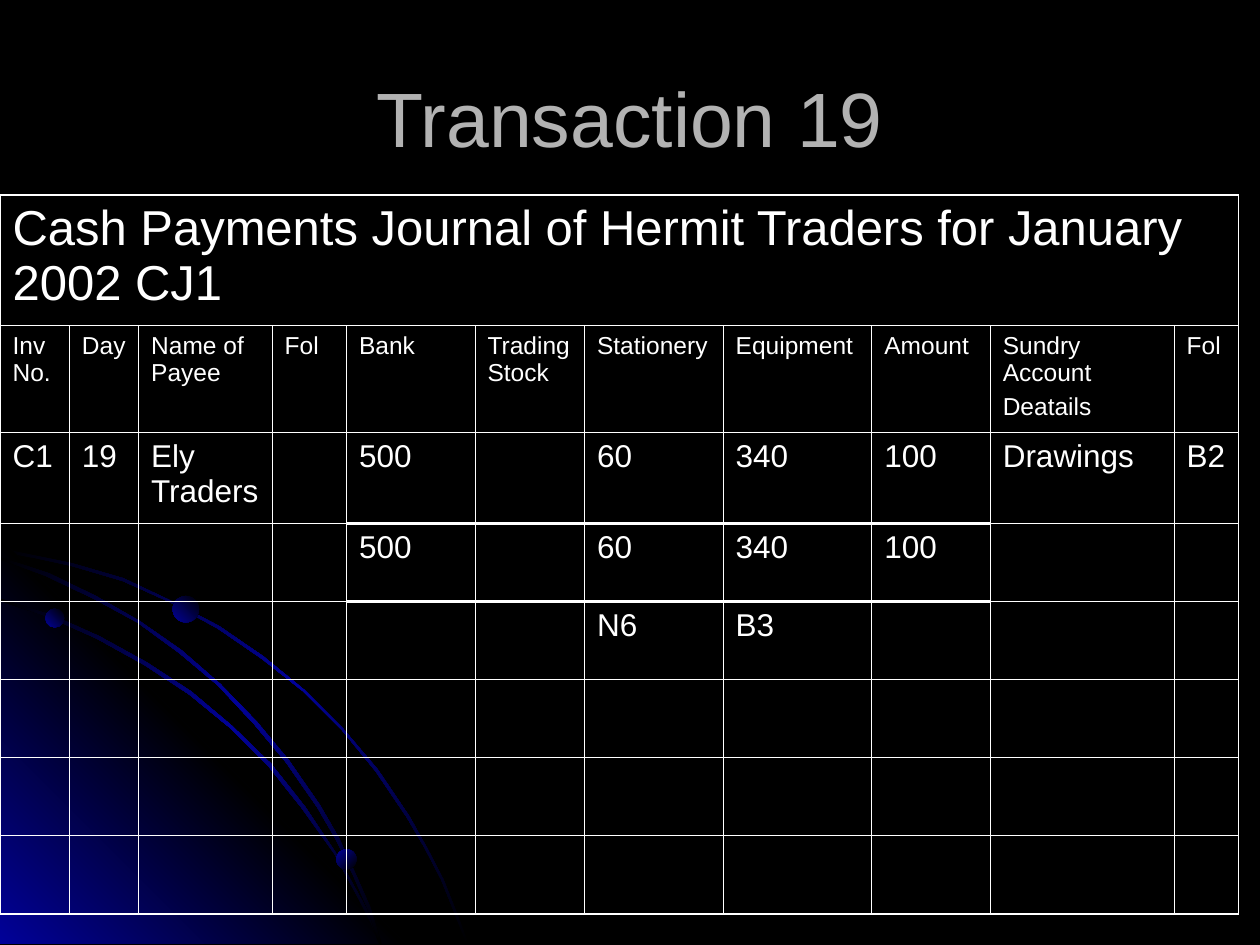
from lxml import etree
from pptx import Presentation
from pptx.dml.color import RGBColor
from pptx.enum.shapes import MSO_SHAPE
from pptx.enum.text import MSO_ANCHOR, PP_ALIGN
from pptx.oxml import parse_xml
from pptx.oxml.ns import qn
from pptx.util import Inches, Pt

SPACE = 'xmlns:a="http://schemas.openxmlformats.org/drawingml/2006/main"'
FONT = "Arial"
WHITE = "FFFFFF"
BLACK = "000000"
BLUE = "010199"
GLOW = [BLACK, BLUE, BLACK]
THIN, FRAME, THICK = 0.45, 1.08, 2.21

OUTER = [
    (0.57, 4.47), (0.28, 4.41), (0, 4.35), (0, 4.38), (0.28, 4.43), (0.56, 4.49),
    (0.97, 4.61), (1.35, 4.78), (1.73, 4.99), (2.08, 5.23), (2.41, 5.49),
    (2.71, 5.79), (2.98, 6.12), (3.23, 6.49), (3.37, 6.73), (3.5, 6.98),
    (3.6, 7.23), (3.7, 7.49), (3.72, 7.49), (3.62, 7.23), (3.52, 6.98),
    (3.39, 6.73), (3.25, 6.48), (3, 6.11), (2.72, 5.78), (2.42, 5.48),
    (2.09, 5.21), (1.74, 4.97), (1.36, 4.77), (0.98, 4.59),
]
CORNER = [(3.22, 7.49), (0, 7.49), (0, 4.27)]
INNER = [
    (2.85, 7.14), (2.94, 7.32), (3.01, 7.49), (3.03, 7.49), (2.96, 7.3),
    (2.86, 7.12), (2.66, 6.76), (2.42, 6.4), (2.15, 6.06), (1.84, 5.76),
    (1.52, 5.49), (1.17, 5.26), (0.79, 5.05), (0.41, 4.88), (0, 4.75),
    (0, 4.77), (0.39, 4.9), (0.77, 5.07), (1.15, 5.28), (1.5, 5.51),
    (1.83, 5.78), (2.13, 6.08), (2.4, 6.42), (2.65, 6.77),
]
MIDDLE = [
    (0, 4.42), (0, 4.44), (0.36, 4.57), (0.74, 4.75), (1.09, 4.94), (1.42, 5.18),
    (1.73, 5.44), (2.02, 5.75), (2.27, 6.05), (2.52, 6.41), (2.67, 6.67),
    (2.8, 6.94), (2.92, 7.22), (3.01, 7.49), (3.03, 7.49), (2.94, 7.2),
    (2.82, 6.93), (2.69, 6.65), (2.54, 6.39), (2.29, 6.03), (2.04, 5.73),
    (1.75, 5.43), (1.44, 5.16), (1.11, 4.93), (0.76, 4.73), (0.39, 4.55),
]
CURVES = [
    (OUTER, GLOW, 225),
    (CORNER, [BLUE, BLACK, BLUE], 135),
    (INNER, GLOW, 225),
    (MIDDLE, GLOW, 225),
]
DOTS = [(0.36, 4.83, 0.15, 135), (2.67, 6.74, 0.16, 225), (1.37, 4.73, 0.21, 135)]

WIDTHS = [0.55, 0.55, 1.06, 0.59, 1.02, 0.87, 1.1, 1.18, 0.94, 1.46, 0.51]
HEIGHTS = [1.03, 0.84, 0.72] + [0.62] * 5
SIZES = [28, 14] + [18] * 6
ROWS = [
    ["Cash Payments Journal of Hermit Traders for January 2002 CJ1"],
    ["Inv No.", "Day", "Name of Payee", "Fol", "Bank", "Trading Stock",
     "Stationery", "Equipment", "Amount", "Sundry Account\nDeatails", "Fol"],
    ["C1", "19", "Ely Traders", "", "500", "", "60", "340", "100", "Drawings", "B2"],
    ["", "", "", "", "500", "", "60", "340", "100"],
    ["", "", "", "", "", "", "N6", "B3"],
]
TOTALS = range(4, 9)


def color(code):
    return RGBColor.from_string(code)


def shade(shape, codes, angle):
    shape.shadow.inherit = False
    shape.line.fill.background()
    shape.fill.gradient()
    grad = shape.fill._xPr.find(qn("a:gradFill"))
    last = len(codes) - 1
    stops = "".join(
        f'<a:gs pos="{100000 * i // last}"><a:srgbClr val="{code}"/></a:gs>'
        for i, code in enumerate(codes))
    fresh = parse_xml(
        f'<a:gradFill {SPACE} rotWithShape="1"><a:gsLst>{stops}</a:gsLst>'
        f'<a:lin ang="{angle * 60000}" scaled="0"/></a:gradFill>')
    grad.getparent().replace(grad, fresh)


def add_curve(slide, points, codes, angle):
    spots = [(Inches(x), Inches(y)) for x, y in points]
    maker = slide.shapes.build_freeform(*spots[0])
    maker.add_line_segments(spots[1:], close=True)
    shade(maker.convert_to_shape(), codes, angle)


def add_dot(slide, left, top, size, angle):
    dot = slide.shapes.add_shape(
        MSO_SHAPE.OVAL, Inches(left), Inches(top), Inches(size), Inches(size))
    shade(dot, [BLACK, BLUE], angle)


def add_run(para, text, size, code):
    run = para.add_run()
    run.text = text
    run.font.name = FONT
    run.font.size = Pt(size)
    run.font.color.rgb = color(code)


def add_title(slide, text):
    box = slide.shapes.add_textbox(Inches(0.5), Inches(0.3), Inches(9), Inches(1.25))
    frame = box.text_frame
    frame.word_wrap = True
    frame.vertical_anchor = MSO_ANCHOR.MIDDLE
    para = frame.paragraphs[0]
    para.alignment = PP_ALIGN.CENTER
    add_run(para, text, 44, "B2B2B2")


def edge_widths(row, col):
    def level(line):
        if line in (0, len(HEIGHTS)):
            return FRAME
        return THICK if line in (3, 4) and col in TOTALS else THIN

    def side(line):
        return FRAME if line in (0, len(WIDTHS)) else THIN

    return {"lnL": side(col), "lnR": side(col + 1),
            "lnT": level(row), "lnB": level(row + 1)}


def set_edges(cell, edges):
    props = cell._tc.get_or_add_tcPr()
    for i, (tag, width) in enumerate(edges.items()):
        line = etree.Element(qn(f"a:{tag}"), w=str(int(Pt(width))))
        fill = etree.SubElement(line, qn("a:solidFill"))
        etree.SubElement(fill, qn("a:srgbClr"), val=WHITE)
        props.insert(i, line)


def fill_cell(cell, text, size):
    frame = cell.text_frame
    for i, part in enumerate(text.split("\n")):
        para = frame.add_paragraph() if i else frame.paragraphs[0]
        para.font.size = Pt(size)
        if i:
            para.space_before = Pt(size / 4)
        if part:
            add_run(para, part, size, WHITE)


def add_ledger(slide):
    frame = slide.shapes.add_table(
        len(HEIGHTS), len(WIDTHS), Inches(0), Inches(1.55),
        Inches(sum(WIDTHS)), Inches(sum(HEIGHTS)))
    table = frame.table
    table.first_row = False
    table.horz_banding = False
    for column, width in zip(table.columns, WIDTHS):
        column.width = Inches(width)
    for r, height in enumerate(HEIGHTS):
        table.rows[r].height = Inches(height)
        texts = dict(enumerate(ROWS[r])) if r < len(ROWS) else {}
        for c in range(len(WIDTHS)):
            cell = table.cell(r, c)
            cell.fill.background()
            set_edges(cell, edge_widths(r, c))
            fill_cell(cell, texts.get(c, ""), SIZES[r])
    table.cell(0, 0).merge(table.cell(0, len(WIDTHS) - 1))


def main():
    deck = Presentation()
    deck.slide_width, deck.slide_height = Inches(10), Inches(7.5)
    slide = deck.slides.add_slide(deck.slide_layouts[6])
    back = slide.background.fill
    back.solid()
    back.fore_color.rgb = color(BLACK)
    for curve in CURVES:
        add_curve(slide, *curve)
    for dot in DOTS:
        add_dot(slide, *dot)
    add_title(slide, "Transaction 19")
    add_ledger(slide)
    deck.save("out.pptx")


if __name__ == "__main__":
    main()
